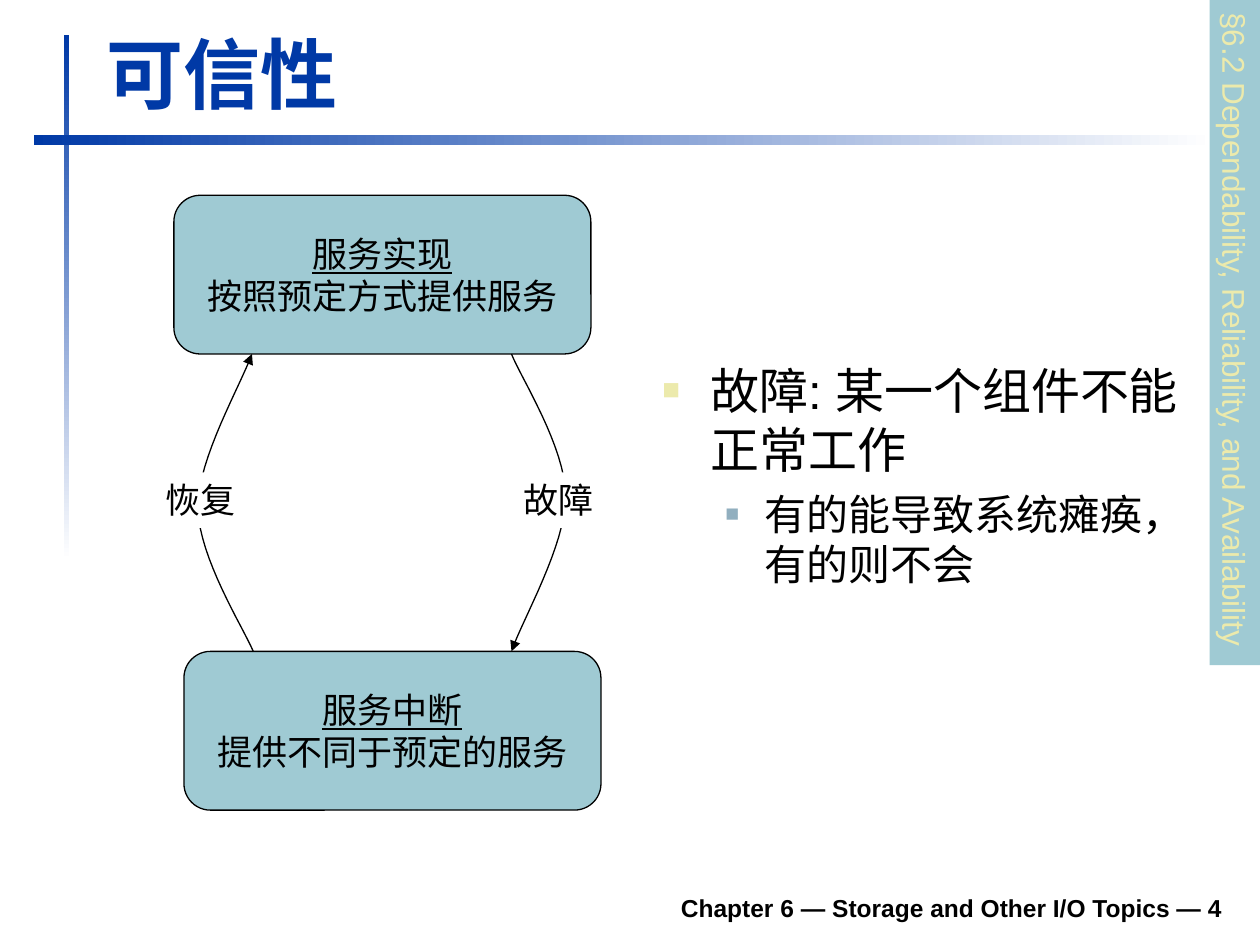
"""Build the dependability slide with its service state cycle."""
import lxml.etree
import pptx
import pptx.dml.color
import pptx.enum.shapes
import pptx.enum.text
import pptx.oxml
import pptx.oxml.ns
import pptx.util

Inches = pptx.util.Inches
Pt = pptx.util.Pt
RGBColor = pptx.dml.color.RGBColor
Shape = pptx.enum.shapes.MSO_SHAPE
Align = pptx.enum.text.PP_ALIGN
Anchor = pptx.enum.text.MSO_ANCHOR
qn = pptx.oxml.ns.qn

BLUE = RGBColor(0x00, 0x39, 0xA6)
TEAL = RGBColor(0x9F, 0xCA, 0xD3)
CREAM = RGBColor(0xEC, 0xEA, 0xAC)
STEEL = RGBColor(0x91, 0xAF, 0xBF)
BLACK = RGBColor(0x00, 0x00, 0x00)
WHITE = RGBColor(0xFF, 0xFF, 0xFF)


def write(box, text, size=20, color=BLACK, bold=False, underline=False, align=Align.LEFT,
          anchor=Anchor.TOP, wrap=True, before=0, bullet=None):
    frame = box.text_frame
    frame.word_wrap = wrap
    frame.vertical_anchor = anchor
    para = frame.add_paragraph() if frame.text else frame.paragraphs[0]
    para.alignment = align
    para.space_before = Pt(before)
    if bullet:
        level, margin, indent, bullet_color, percent = bullet
        para.level = level
        props = para._p.get_or_add_pPr()
        props.set("marL", str(Inches(margin)))
        props.set("indent", str(Inches(-indent)))
        paint = lxml.etree.SubElement(props, qn("a:buClr"))
        lxml.etree.SubElement(paint, qn("a:srgbClr"), val=str(bullet_color))
        lxml.etree.SubElement(props, qn("a:buSzPct"), val=str(percent * 1000))
        lxml.etree.SubElement(props, qn("a:buFont"), typeface="Arial")
        lxml.etree.SubElement(props, qn("a:buChar"), char="■")
    span = para.add_run()
    span.text = text
    span.font.name = "Arial"
    span.font.size = Pt(size)
    span.font.bold = bold
    span.font.underline = underline
    span.font.color.rgb = color


def add_block(kind, left, top, width, height, fill=None):
    block = page.shapes.add_shape(kind, Inches(left), Inches(top), Inches(width), Inches(height))
    block.shadow.inherit = False
    block.line.fill.background()
    if fill is not None:
        block.fill.solid()
        block.fill.fore_color.rgb = fill
    return block


deck = pptx.Presentation()
deck.slide_width = Inches(10)
deck.slide_height = Inches(7.5)
page = deck.slides.add_slide(deck.slide_layouts[6])

for left, top, width, height, angle in [(0.51, 0.28, 0.04, 4.17, 270), (0.27, 1.07, 9.37, 0.08, 0)]:
    rule = add_block(Shape.RECTANGLE, left, top, width, height)
    rule.fill.gradient()
    rule.fill.gradient_angle = angle
    for stop, color in zip(rule.fill.gradient_stops, (BLUE, WHITE)):
        stop.color.rgb = color

footer = page.shapes.add_textbox(Inches(1.85), Inches(6.98), Inches(7.95), Inches(0.39))
write(footer, "Chapter 6 — Storage and Other I/O Topics — 4", size=14, bold=True,
      align=Align.RIGHT, anchor=Anchor.BOTTOM)

title = page.shapes.add_textbox(Inches(0.75), Inches(0.16), Inches(9.03), Inches(0.83))
write(title, "可信性", size=44, color=BLUE, bold=True, anchor=Anchor.BOTTOM)

body = page.shapes.add_textbox(Inches(5.16), Inches(2.81), Inches(4.33), Inches(4.02))
write(body, "故障: 某一个组件不能正常工作", size=28, bullet=(0, 0.38, 0.38, CREAM, 60))
write(body, "有的能导致系统瘫痪，有的则不会", size=24, before=6, bullet=(1, 0.81, 0.31, STEEL, 55))

section = add_block(Shape.RECTANGLE, 7.16, 2.44, 5.28, 0.4, TEAL)
section.rotation = 90
write(section, "§6.2 Dependability, Reliability, and Availability", size=18, color=CREAM, wrap=False)

states = [
    (1.38, 1.55, "服务实现", "按照预定方式提供服务"),
    (1.46, 5.17, "服务中断", "提供不同于预定的服务"),
]
for left, top, name, meaning in states:
    state = add_block(Shape.ROUNDED_RECTANGLE, left, top, 3.31, 1.26, TEAL)
    state.line.color.rgb = BLACK
    state.line.width = Pt(0.75)
    for text, underline in [(name, True), (meaning, False)]:
        write(state, text, underline=underline, align=Align.CENTER, anchor=Anchor.MIDDLE, wrap=False)

transitions = [
    ([(4.06, 2.81), (4.13, 2.99), (4.49, 3.55), (4.49, 3.94), (4.49, 4.33), (4.15, 4.91), (4.06, 5.17)],
     4.06, "故障", Align.LEFT),
    ([(2.01, 5.17), (1.93, 4.98), (1.58, 4.43), (1.57, 4.03), (1.57, 3.64), (1.91, 3.06), (2, 2.81)],
     1.22, "恢复", Align.RIGHT),
]
STEPS = 16
for controls, label_left, text, align in transitions:
    points = []
    for first in (0, 3):
        for step in range(1, STEPS + 1):
            t = step / STEPS
            weights = ((1 - t) ** 3, 3 * t * (1 - t) ** 2, 3 * t ** 2 * (1 - t), t ** 3)
            points.append([Inches(sum(weight * point[axis] for weight, point
                                      in zip(weights, controls[first:first + 4])))
                           for axis in (0, 1)])
    start_x, start_y = controls[0]
    builder = page.shapes.build_freeform(Inches(start_x), Inches(start_y))
    builder.add_line_segments(points, close=False)
    arrow = builder.convert_to_shape()
    arrow.shadow.inherit = False
    arrow.fill.background()
    arrow.line.color.rgb = BLACK
    arrow.line.width = Pt(0.75)
    lxml.etree.SubElement(arrow.line._get_or_add_ln(), qn("a:tailEnd"), type="triangle")

    label = add_block(Shape.RECTANGLE, label_left, 3.75, 0.75, 0.44, WHITE)
    write(label, text, align=align, wrap=False)

deck.save("out.pptx")
